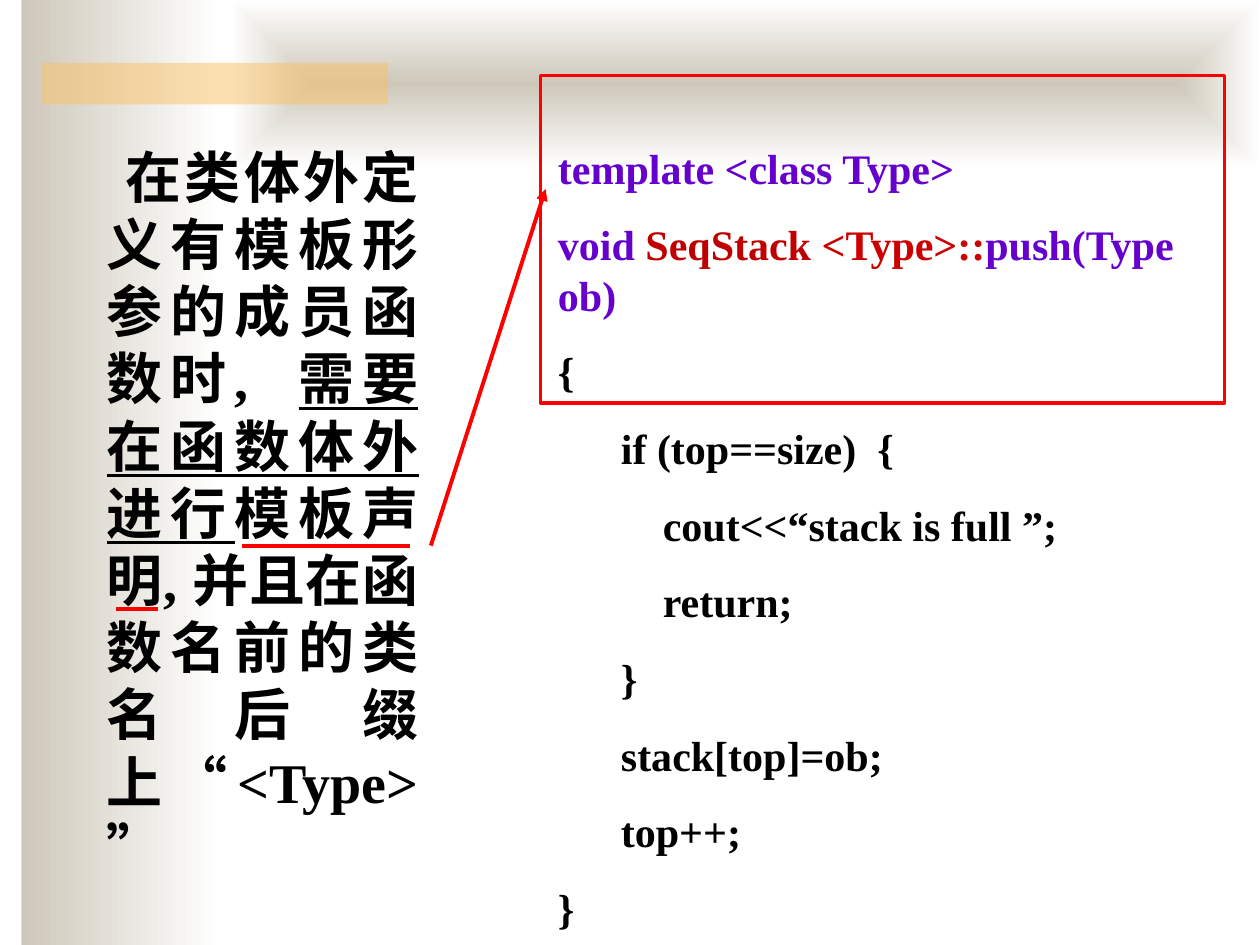
from lxml import etree
from pptx import Presentation
from pptx.dml.color import RGBColor
from pptx.enum import shapes, text
from pptx.oxml.ns import qn
from pptx.util import Inches, Pt

COLORS = {"sand": "CEC8BA", "white": "FFFFFF", "amber": "FAC164", "black": "000000",
          "purple": "6600CC", "dark_red": "C00000", "crimson": "CC0000", "red": "FF0000"}


def color(name):
    return RGBColor.from_string(COLORS[name])


def add_text(page, place, paragraphs, size, formats):
    frame = page.shapes.add_textbox(*map(Inches, place)).text_frame
    frame.word_wrap = True
    for index, spans in enumerate(paragraphs):
        para = frame.add_paragraph() if index else frame.paragraphs[0]
        for name, value in formats.items():
            setattr(para, name, value)
        if index:
            para.space_before = Pt(15)
        for words, shade, underline in spans:
            span = para.add_run()
            span.text = words
            font = {"name": "Times New Roman", "size": Pt(size), "bold": True, "underline": underline}
            for name, value in font.items():
                setattr(span.font, name, value)
            span.font.color.rgb = color(shade)


deck = Presentation()
deck.slide_width, deck.slide_height = Inches(10), Inches(7.5)
page = deck.slides.add_slide(deck.slide_layouts[6])

bands = []
for place in [(0.17, 0, 1.58, 7.5), (1.83, 0, 8.17, 1.33), (0.33, 0.5, 2.75, 0.33)]:
    band = page.shapes.add_shape(shapes.MSO_SHAPE.RECTANGLE, *map(Inches, place))
    band.shadow.inherit = False
    band.line.fill.background()
    bands.append(band)
side_band, top_band, accent = bands

for band in (side_band, top_band):
    band.fill.gradient()
    band.fill.gradient_angle = 0
    for stop, position, name in zip(band.fill.gradient_stops, (0, 1), ("sand", "white")):
        stop.position = position
        stop.color.rgb = color(name)

gradient = top_band._element.spPr.find(qn("a:gradFill"))
gradient.remove(gradient.find(qn("a:lin")))
shade_path = etree.SubElement(gradient, qn("a:path"), {"path": "rect"})
etree.SubElement(shade_path, qn("a:fillToRect"), dict.fromkeys("ltrb", "50000"))

accent.fill.solid()
accent.fill.fore_color.rgb = color("amber")
accent_color = accent._element.spPr.find(qn("a:solidFill")).find(qn("a:srgbClr"))
etree.SubElement(accent_color, qn("a:alpha"), {"val": "50000"})

explanation = [[
    ("在类体外定义有模板形参的成员函数时,  ", "black", False),
    ("需要在函数体外进行", "black", True),
    ("模板声明, 并且在函数名前的类名后缀上“<Type>” ", "black", False),
]]
add_text(page, (0.25, 1.08, 3.17, 5.5), explanation, 32,
         {"alignment": text.PP_ALIGN.JUSTIFY, "line_spacing": Pt(38.4)})
properties = page.shapes[-1].text_frame.paragraphs[0]._p.get_or_add_pPr()
properties.set("marL", str(Inches(0.5)))
properties.set("indent", str(Inches(0.15)))

body = ["{", "      if (top==size)  {", "          cout<<“stack is full ”;",
        "          return;", "      }", "      stack[top]=ob;", "      top++;", "}"]
code = [
    [("template <class Type>", "purple", False)],
    [("void ", "purple", False), ("SeqStack ", "dark_red", False),
     ("<Type>::", "crimson", False), ("push(Type ob)", "purple", False)],
] + [[(line, "black", False)] for line in body]
add_text(page, (4.33, 1.08, 5.25, 6.38), code, 24,
         {"alignment": text.PP_ALIGN.LEFT, "line_spacing": Pt(28.8)})

for ends in [(1.92, 4.33, 3.25, 4.33), (0.92, 4.83, 1.25, 4.83), (3.42, 4.33, 4.33, 1.5)]:
    arrow = page.shapes.add_connector(shapes.MSO_CONNECTOR.STRAIGHT, *map(Inches, ends))
    arrow.line.color.rgb = color("red")
    arrow.line.width = Pt(2.25)
    etree.SubElement(arrow._element.spPr, qn("a:effectLst"))
etree.SubElement(arrow.line._get_or_add_ln(), qn("a:tailEnd"), {"type": "triangle"})

frame_box = page.shapes.add_shape(shapes.MSO_SHAPE.RECTANGLE, *map(Inches, (4.29, 0.6, 5.43, 2.6)))
frame_box.shadow.inherit = False
frame_box.fill.background()
frame_box.line.color.rgb = color("red")
frame_box.line.width = Pt(2)

deck.save("out.pptx")
